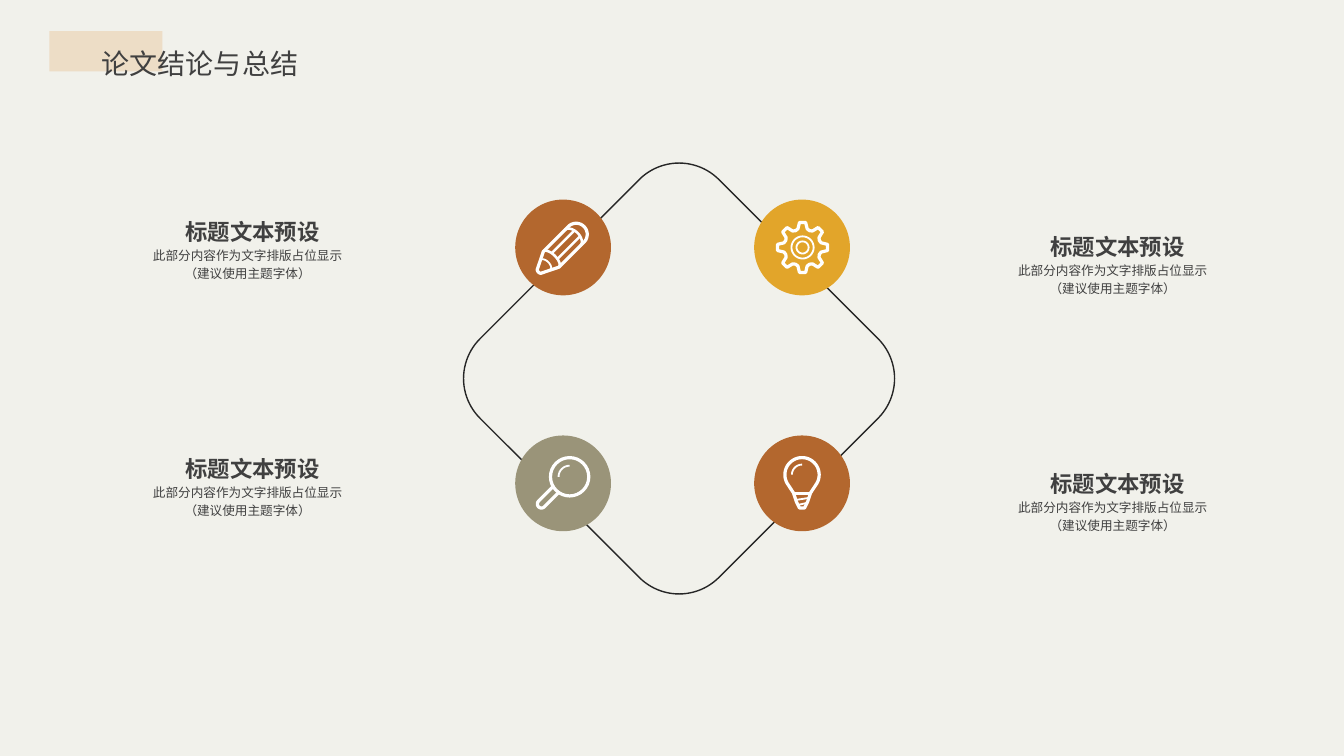
from math import cos, sin, radians, sqrt
from lxml import etree
from pptx import Presentation
from pptx.dml.color import RGBColor
from pptx.enum.shapes import MSO_SHAPE as SHAPE
from pptx.enum.text import MSO_ANCHOR as ANCHOR, PP_ALIGN as ALIGN
from pptx.oxml.ns import qn
from pptx.util import Inches, Pt

FONT = "Noto Sans CJK SC"
DARK, WHITE = "404040", "FFFFFF"


def paint(sp, fill=None, line=None, weight=1):
    sp.shadow.inherit = False
    for part, color in ((sp.fill, fill), (sp.line.fill, line)):
        if color:
            part.solid()
            part.fore_color.rgb = RGBColor.from_string(color)
        else:
            part.background()
    if line:
        sp.line.width = Pt(weight)


def arc(cx, cy, rx, ry, start, end, steps=32):
    angles = [radians(start + (end - start) * i / steps) for i in range(steps + 1)]
    return [(cx + rx * cos(a), cy + ry * sin(a)) for a in angles]


prs = Presentation()
prs.slide_width, prs.slide_height = Inches(13.33), Inches(7.5)
s = prs.slides.add_slide(prs.slide_layouts[6])
s.background.fill.solid()
s.background.fill.fore_color.rgb = RGBColor.from_string("F1F1EB")

# Title accent, diamond frame and the 2 x 2 grid of discs
accent = s.shapes.add_shape(SHAPE.RECTANGLE, Inches(0.49), Inches(0.31), Inches(1.12), Inches(0.4))
paint(accent, "EDDDC6")
frame = s.shapes.add_shape(SHAPE.ROUNDED_RECTANGLE, Inches(5.06), Inches(2.08), Inches(3.35), Inches(3.35))
frame.rotation = 45
paint(frame, line="262626")
COLS, ROWS, DISC = (5.11, 7.48), (1.98, 4.32), 0.95
for i, color in enumerate(("B3672E", "E2A52A", "9A9479", "B3672E")):
    disc = s.shapes.add_shape(SHAPE.OVAL, Inches(COLS[i % 2]), Inches(ROWS[i // 2]), Inches(DISC), Inches(DISC))
    paint(disc, color)

# Icon strokes: points, weight, closed
BOLD, THIN = 2.3, 1.3
strokes = []

# Pencil and magnifier handle, laid along a diagonal axis that starts at their tip
diagonal = [
    (5.34, 2.7, arc(0.02, 0, 0.02, 0.03, 120, 240, 6) + [(0.18, -0.11)]
     + arc(0.53, 0, 0.11, 0.11, -90, 90) + [(0.18, 0.11)], BOLD, True),
    (5.34, 2.7, arc(0.18, 0, 0.05, 0.11, -90, 90), THIN + 0.5, False),
    (5.34, 2.7, arc(0.1, 0, 0.04, 0.07, -90, 90), THIN, False),
    (5.34, 2.7, arc(0.48, 0, 0.07, 0.11, -90, 90), THIN + 0.5, False),
    (5.34, 2.7, [(0.23, -0.04), (0.54, -0.04)], THIN + 0.5, False),
    (5.34, 2.7, [(0.23, 0.04), (0.54, 0.04)], THIN + 0.5, False),
    (5.37, 5.0, [(0.21, -0.04)] + arc(0, 0, 0.04, 0.04, 270, 90) + [(0.21, 0.04)], BOLD, False),
]
for x, y, pts, weight, closed in diagonal:
    strokes.append(([(x + (u + v) / sqrt(2), y + (v - u) / sqrt(2)) for u, v in pts], weight, closed))

# Gear: eight teeth around two rings
GX, GY = 7.96, 2.455
tooth = ((-22.5, 0.18), (-14, 0.19), (-7, 0.25), (7, 0.25), (14, 0.19))
gear = [(GX + r * cos(radians(45 * k + a)), GY + r * sin(radians(45 * k + a)))
        for k in range(8) for a, r in tooth]
strokes += [(gear, BOLD, True),
            (arc(GX, GY, 0.11, 0.11, 0, 360), THIN, True),
            (arc(GX, GY, 0.06, 0.06, 0, 360), THIN, True)]

# Magnifier lens and glint
strokes += [(arc(5.65, 4.73, 0.19, 0.19, 0, 360), BOLD, True),
            (arc(5.65, 4.73, 0.11, 0.11, 180, 270), THIN, False)]

# Bulb: glass, glint and screw threads
base = [(8.04, 4.89), (8.01, 4.98), (7.98, 5.04), (7.93, 5.04), (7.9, 4.98), (7.87, 4.89)]
strokes += [(arc(7.955, 4.71, 0.17, 0.17, 150, 390) + base, BOLD, True),
            (arc(7.955, 4.71, 0.1, 0.1, 180, 270), THIN, False),
            ([(7.87, 4.9), (8.04, 4.9)], BOLD, False),
            ([(7.89, 4.96), (8.02, 4.94)], THIN, False),
            ([(7.91, 5.01), (8, 4.99)], THIN, False)]

for pts, weight, closed in strokes:
    pts = [(Inches(x), Inches(y)) for x, y in pts]
    pen = s.shapes.build_freeform(*pts[0], scale=1.0)
    pen.add_line_segments(pts[1:], close=closed)
    paint(pen.convert_to_shape(), line=WHITE, weight=weight)

# Texts: left, top, width, height, lines, size, bold, spacing, anchor, alignment
texts = [(1.01, 0.29, 3.3, 0.45, ["论文结论与总结"], 20, False, 1.5, ANCHOR.TOP, ALIGN.JUSTIFY)]
body = ["此部分内容作为文字排版占位显示", "（建议使用主题字体）"]
for x, top in ((1.42, 1.97), (10, 2.12)):
    for y in (top, top + 2.35):
        texts += [(x, y, 2.17, 0.46, ["标题文本预设"], 16, True, 1, ANCHOR.BOTTOM, ALIGN.CENTER),
                  (x, y + 0.46, 2.07, 0.32, body, 9, False, 1.2, ANCHOR.TOP, ALIGN.CENTER)]

for x, y, w, h, lines, size, bold, spacing, anchor, align in texts:
    tf = s.shapes.add_textbox(Inches(x), Inches(y), Inches(w), Inches(h)).text_frame
    tf.margin_left = tf.margin_top = tf.margin_right = tf.margin_bottom = 0
    tf.word_wrap, tf.vertical_anchor = True, anchor
    p = tf.paragraphs[0]
    p.alignment, p.line_spacing = align, spacing
    for i, line in enumerate(lines):
        if i:
            p.add_line_break()
        r = p.add_run()
        r.text = line
        r.font.name, r.font.size, r.font.bold = FONT, Pt(size), bold
        r.font.color.rgb = RGBColor.from_string(DARK)
        etree.SubElement(r.font._element, qn("a:ea")).set("typeface", FONT)

prs.save("out.pptx")
